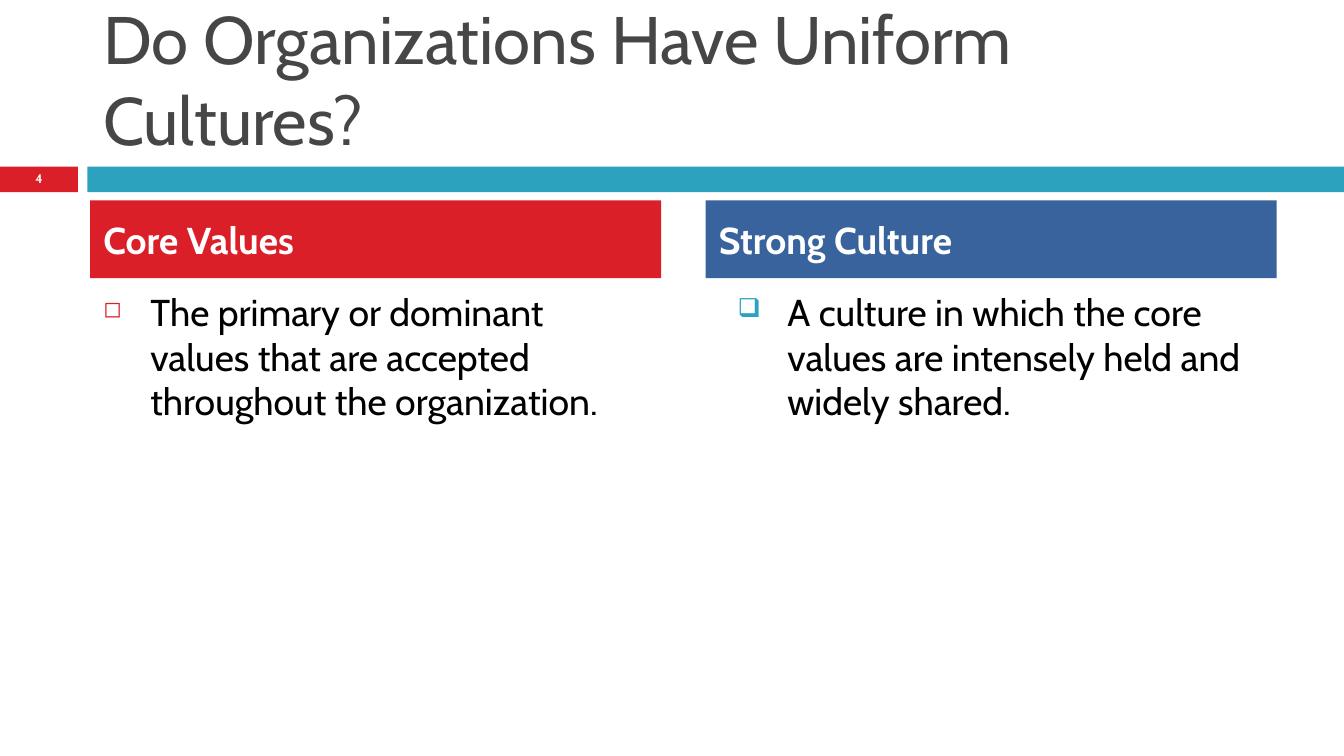
"""Build the slide comparing core values with strong culture."""
from dataclasses import dataclass
from typing import Optional

from lxml import etree
from pptx import Presentation
from pptx.dml import color
from pptx.enum import shapes, text
from pptx.oxml import ns
from pptx.util import Inches, Pt

FONT = "Cabin"
COLORS = {
    "red": "DA1F28",
    "teal": "2DA2BF",
    "blue": "39639D",
    "title": "464646",
    "body": "000000",
    "white": "FFFFFF",
}


@dataclass(frozen=True)
class Bullet:
    symbol: str
    color: str
    percent: int
    margin: float
    hanging: float


@dataclass(frozen=True)
class Column:
    left: float
    heading: str
    fill: str
    body: str
    bullet: Bullet


PAGE_WIDTH = 10
COLUMN_WIDTH = 4.25
COLUMNS = (
    Column(0.67, "Core Values", "red",
           "The primary or dominant values that are accepted throughout the organization.",
           Bullet("◻", "red", 60, 0.35, 0.35)),
    Column(5.25, "Strong Culture", "blue",
           "A culture in which the core values are intensely held and widely shared.",
           Bullet("❑", "teal", 70, 0.51, 0.37)),
)


def rgb(name: str) -> color.RGBColor:
    return color.RGBColor.from_string(COLORS[name])


def add_bullet(para, bullet: Bullet) -> None:
    properties = para._p.get_or_add_pPr()
    properties.set("marL", str(Inches(bullet.margin)))
    properties.set("indent", str(-Inches(bullet.hanging)))
    tint = etree.SubElement(properties, ns.qn("a:buClr"))
    etree.SubElement(tint, ns.qn("a:srgbClr"), val=COLORS[bullet.color])
    etree.SubElement(properties, ns.qn("a:buSzPct"), val=str(bullet.percent * 1000))
    etree.SubElement(properties, ns.qn("a:buChar"), char=bullet.symbol)


def write(box, words: str, *, size: float, ink: str, bold: bool = False,
          align=text.PP_ALIGN.LEFT, anchor=text.MSO_ANCHOR.TOP,
          bullet: Optional[Bullet] = None) -> None:
    frame = box.text_frame
    frame.word_wrap = True
    frame.vertical_anchor = anchor
    para = frame.paragraphs[0]
    para.alignment = align
    if bullet:
        add_bullet(para, bullet)
    span = para.add_run()
    span.text = words
    span.font.name = FONT
    span.font.size = Pt(size)
    span.font.bold = bold
    span.font.color.rgb = rgb(ink)


def add_bar(page, left: float, top: float, width: float, height: float, fill: str):
    bar = page.shapes.add_shape(shapes.MSO_SHAPE.RECTANGLE, Inches(left), Inches(top),
                                Inches(width), Inches(height))
    bar.shadow.inherit = False
    bar.fill.solid()
    bar.fill.fore_color.rgb = rgb(fill)
    bar.line.fill.background()
    return bar


def add_box(page, left: float, top: float, width: float, height: float):
    return page.shapes.add_textbox(Inches(left), Inches(top), Inches(width), Inches(height))


def add_column(page, column: Column) -> None:
    body = add_box(page, column.left, 2.1, COLUMN_WIDTH, 2.88)
    write(body, column.body, size=20, ink="body", bullet=column.bullet)
    header = add_bar(page, column.left, 1.49, COLUMN_WIDTH, 0.58, column.fill)
    write(header, column.heading, size=20, ink="white", bold=True,
          anchor=text.MSO_ANCHOR.MIDDLE)


def main() -> None:
    deck = Presentation()
    deck.slide_width, deck.slide_height = Inches(PAGE_WIDTH), Inches(PAGE_WIDTH * 9 / 16)
    page = deck.slides.add_slide(deck.slide_layouts[6])
    add_bar(page, 0, 1.24, 0.58, 0.19, "red")
    add_bar(page, 0.65, 1.24, 9.35, 0.19, "teal")
    title = add_box(page, 0.67, 0.13, 8.92, 1.1)
    write(title, "Do Organizations Have Uniform Cultures?", size=36, ink="title",
          anchor=text.MSO_ANCHOR.BOTTOM)
    number = add_box(page, 0, 1.23, 0.58, 0.2)
    write(number, "4", size=6.7, ink="white", bold=True,
          align=text.PP_ALIGN.CENTER, anchor=text.MSO_ANCHOR.MIDDLE)
    for column in COLUMNS:
        add_column(page, column)
    deck.save("out.pptx")


if __name__ == "__main__":
    main()
